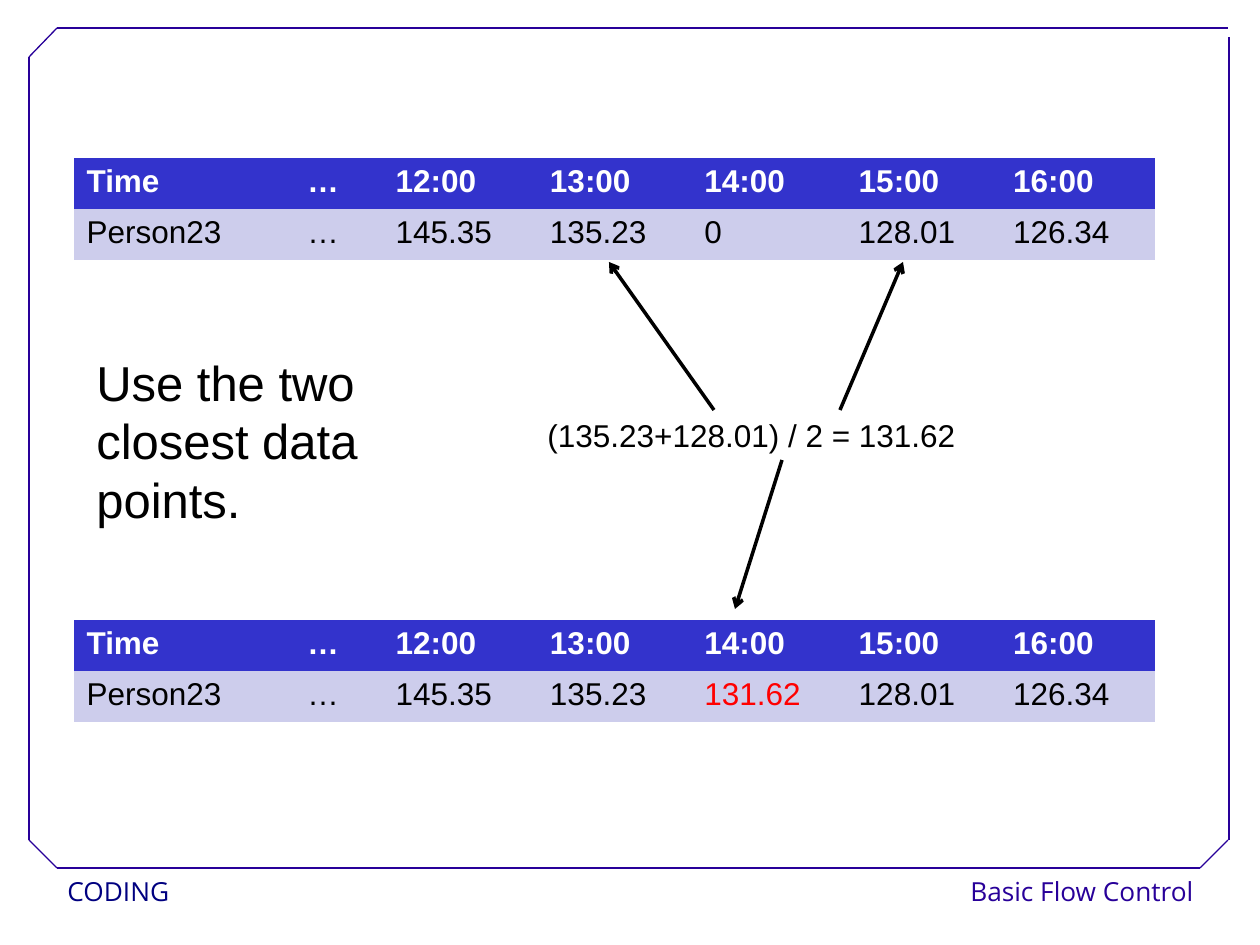
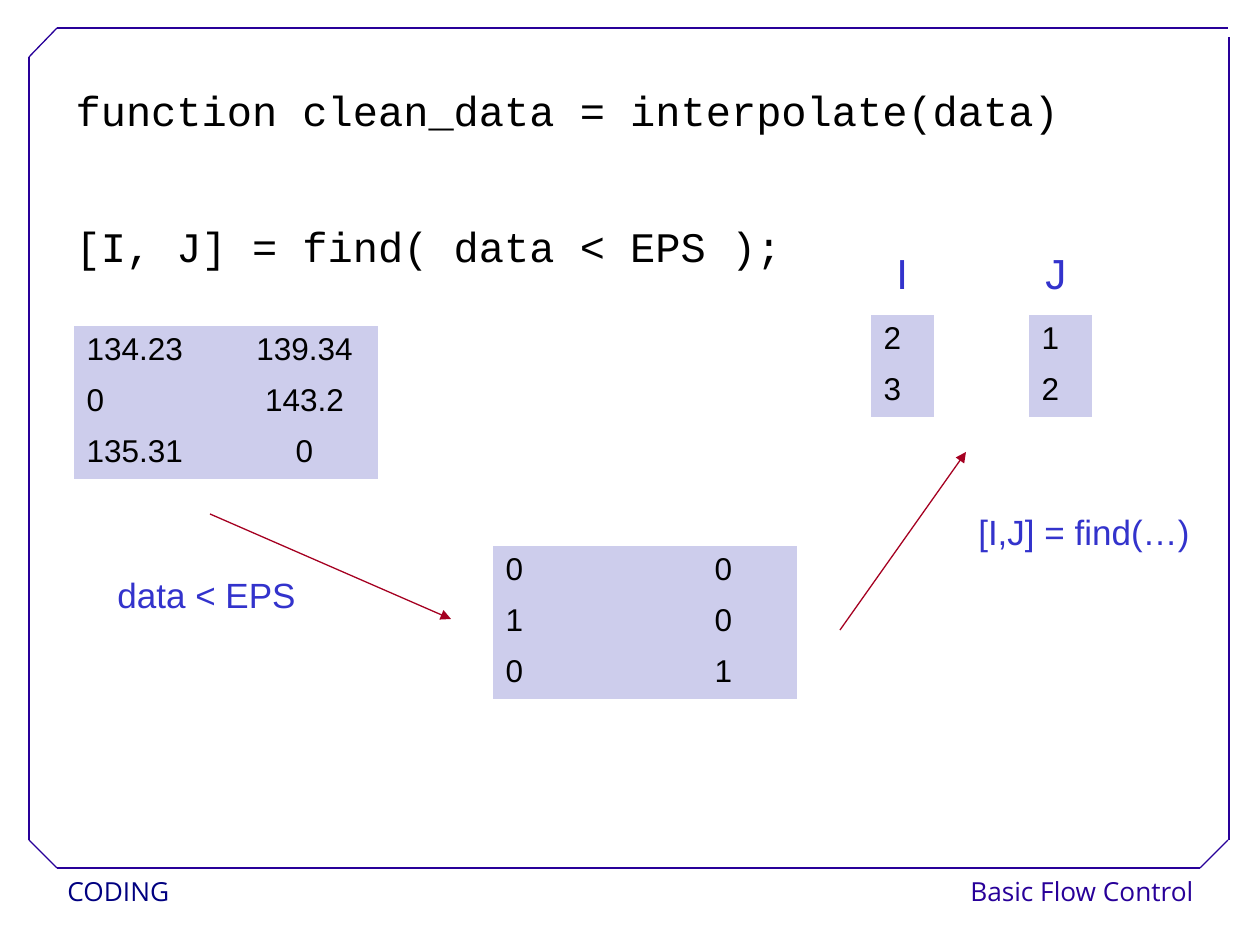
from itertools import accumulate
from pptx import Presentation
from pptx.dml.color import RGBColor
from pptx.enum.shapes import MSO_CONNECTOR
from pptx.enum.text import MSO_ANCHOR, MSO_AUTO_SIZE, PP_ALIGN
from pptx.oxml.ns import qn
from pptx.oxml.xmlchemy import OxmlElement
from pptx.util import Emu, Pt

LEFT, CENTER, RIGHT = PP_ALIGN.LEFT, PP_ALIGN.CENTER, PP_ALIGN.RIGHT
STRAIGHT, TOP, NO_FIT = MSO_CONNECTOR.STRAIGHT, MSO_ANCHOR.TOP, MSO_AUTO_SIZE.NONE
PX_PER_INCH = 126
NO_STYLE = "{2D5ABB26-0587-4C30-8999-92F81FD0307C}"

# Shared look
BLUE, PALE, WHITE, BLACK = "3333CC", "CDCDEC", "FFFFFF", "000000"
RED, MAROON, NAVY, FRAME = "FF0000", "A50021", "000080", "280099"
CELL = dict(size=18, name="Arial", color=BLACK)
HEAD = dict(size=18, name="Arial", color=WHITE, bold=True)
BIG = dict(size=28, name="Arial", color=BLACK)
LABEL = dict(size=20, name="Arial", color=BLUE)
VECTOR = dict(size=24, name="Arial", color=BLUE)
CODE = dict(size=24, name="Courier New", color=BLACK)

# Frame and footers: lengths in px
FOOTERS = [
    ("CODING", (55, 868, 246, 46), NAVY, LEFT),
    ("Basic Flow Control", (906, 868, 300, 46), FRAME, RIGHT),
]
FRAME_LINES = [
    (57, 868, 1200, 868), (29, 840, 29, 57), (57, 28, 1228, 28),
    (1229, 840, 1229, 37), (29, 57, 57, 28), (1200, 868, 1228, 840),
    (29, 840, 57, 868),
]

# Slide 1: filling the missing reading
HOURS = ["Time", "…", "12:00", "13:00", "14:00", "15:00", "16:00"]
RAW = ["Person23", "…", "145.35", "135.23", "0", "128.01", "126.34"]
FILLED = ["131.62" if v == "0" else v for v in RAW]
TIME_COLS = [189, 120] + [772 / 5] * 5
TIME_TABLES = [(158, RAW, {}), (620, FILLED, {(1, 4): RED})]
AVERAGE_TEXTS = [
    ("(135.23+128.01) / 2 = 131.62", (535, 410, 494, 51), CELL),
    ("Use the two closest data points.", (84, 346, 378, 189), BIG),
]
AVERAGE_ARROWS = [(714, 410, 609, 262), (840, 410, 903, 262), (782, 460, 735, 609)]

# Slide 2: finding the zeros
CODE_LINES = ["function clean_data = interpolate(data)", "[I, J] = find( data < EPS );"]
CODE_BOX = (63, 84, 1134, 252)
MATRIX_COLS, VECTOR_COLS = [157, 147], [63]
MATRICES = [
    ((74, 326), MATRIX_COLS, [["134.23", "139.34"], ["0", "143.2"], ["135.31", "0"]]),
    ((493, 546), MATRIX_COLS, [["0", "0"], ["1", "0"], ["0", "1"]]),
    ((871, 315), VECTOR_COLS, [["2"], ["3"]]),
    ((1029, 315), VECTOR_COLS, [["1"], ["2"]]),
]
FIND_ARROWS = [(210, 514, 451, 619), (840, 630, 966, 452)]
FIND_TEXTS = [
    ("data < EPS", (105, 567, 231, 56), LABEL),
    ("[I,J] = find(…)", (966, 504, 242, 56), LABEL),
]
VECTOR_NAMES, VECTOR_BOX, VECTOR_TAB = "I\tJ", (884, 241, 208, 63), 149
ROW_H = 51


def px(n):
    return Emu(round(n * 914400 / PX_PER_INCH))


def rgb(code):
    return RGBColor.from_string(code)


def style(font, fmt):
    for key, value in fmt.items():
        if key == "color":
            font.color.rgb = rgb(value)
        else:
            setattr(font, key, Pt(value) if key == "size" else value)


def add_text(slide, text, box, fmt, align=LEFT, tab=None):
    sp = slide.shapes.add_textbox(*map(px, box))
    tf = sp.text_frame
    tf.word_wrap = True
    p = tf.paragraphs[0]
    p.alignment = align
    if tab:
        tabs = OxmlElement("a:tabLst")
        stop = OxmlElement("a:tab")
        stop.set("pos", str(px(tab)))
        stop.set("algn", "l")
        tabs.append(stop)
        p._p.get_or_add_pPr().append(tabs)
    r = p.add_run()
    r.text = text
    style(r.font, fmt)
    return sp


def add_line(slide, ends, color, width, arrow=None):
    line = slide.shapes.add_connector(STRAIGHT, *map(px, ends))
    line.line.color.rgb = rgb(color)
    line.line.width = Pt(width)
    if arrow:
        tail = OxmlElement("a:tailEnd")
        tail.set("type", arrow)
        line.line._get_or_add_ln().append(tail)
    line._element.spPr.append(OxmlElement("a:effectLst"))
    return line


def add_grid(slide, at, cols, rows, header=False, colors=None):
    size = (sum(cols), ROW_H * len(rows))
    table = slide.shapes.add_table(len(rows), len(cols), *map(px, (*at, *size))).table
    table.first_row, table.horz_banding = header, False
    table._tbl.tblPr.find(qn("a:tableStyleId")).text = NO_STYLE
    edges = [px(x) for x in accumulate(cols, initial=0)]
    for col, start, end in zip(table.columns, edges, edges[1:]):
        col.width = end - start
    for i, row in enumerate(rows):
        table.rows[i].height = px(ROW_H)
        is_head = header and i == 0
        for j, text in enumerate(row):
            cell = table.cell(i, j)
            cell.fill.solid()
            cell.fill.fore_color.rgb = rgb(BLUE if is_head else PALE)
            p = cell.text_frame.paragraphs[0]
            p.alignment = CENTER if j == 1 else LEFT
            r = p.add_run()
            r.text = text
            style(r.font, HEAD if is_head else CELL)
            if (i, j) in (colors or {}):
                r.font.color.rgb = rgb(colors[i, j])


def add_frame(prs, slide):
    """Draw footers and frame, then move them to the master."""
    parts = []
    for text, box, color, align in FOOTERS:
        sp = add_text(slide, text, box, dict(size=15, name="Open Sans", color=color), align)
        sp.fill.solid()
        sp.fill.fore_color.rgb = rgb(WHITE)
        sp.text_frame.paragraphs[0].line_spacing = 1.02
        parts.append(sp)
    parts += [add_line(slide, ends, FRAME, 0.75) for ends in FRAME_LINES]
    for number, part in enumerate(parts, 100):
        part._element.xpath(".//p:cNvPr")[0].set("id", str(number))
        prs.slide_master.shapes._spTree.append(part._element)


def build_average(slide):
    for top, values, colors in TIME_TABLES:
        add_grid(slide, (74, top), TIME_COLS, [HOURS, values], True, colors)
    for ends in AVERAGE_ARROWS:
        add_line(slide, ends, BLACK, 2, "arrow")
    for text, box, fmt in AVERAGE_TEXTS:
        add_text(slide, text, box, fmt)


def build_find(slide):
    # Code in the body placeholder
    title, body = slide.placeholders
    title._element.getparent().remove(title._element)
    body.left, body.top, body.width, body.height = map(px, CODE_BOX)
    tf = body.text_frame
    tf.auto_size, tf.vertical_anchor = NO_FIT, TOP
    tf.text = "\n".join(CODE_LINES)
    for p in tf.paragraphs:
        pPr = p._p.get_or_add_pPr()
        pPr.set("marL", "0")
        pPr.set("indent", "0")
        pPr.append(OxmlElement("a:buNone"))
        p.line_spacing, p.space_before, p.space_after = 0.9, Pt(0), Pt(52)
        style(p.runs[0].font, CODE)
    # Matrices, arrows and labels
    for at, cols, rows in MATRICES:
        add_grid(slide, at, cols, rows)
    for ends in FIND_ARROWS:
        add_line(slide, ends, MAROON, 0.75, "triangle")
    for text, box, fmt in FIND_TEXTS:
        add_text(slide, text, box, fmt)
    add_text(slide, VECTOR_NAMES, VECTOR_BOX, VECTOR, tab=VECTOR_TAB)


def main():
    prs = Presentation()
    prs.slide_width, prs.slide_height = px(1260), px(945)
    average = prs.slides.add_slide(prs.slide_layouts[6])
    add_frame(prs, average)
    build_average(average)
    build_find(prs.slides.add_slide(prs.slide_layouts[1]))
    prs.save("out.pptx")


if __name__ == "__main__":
    main()
